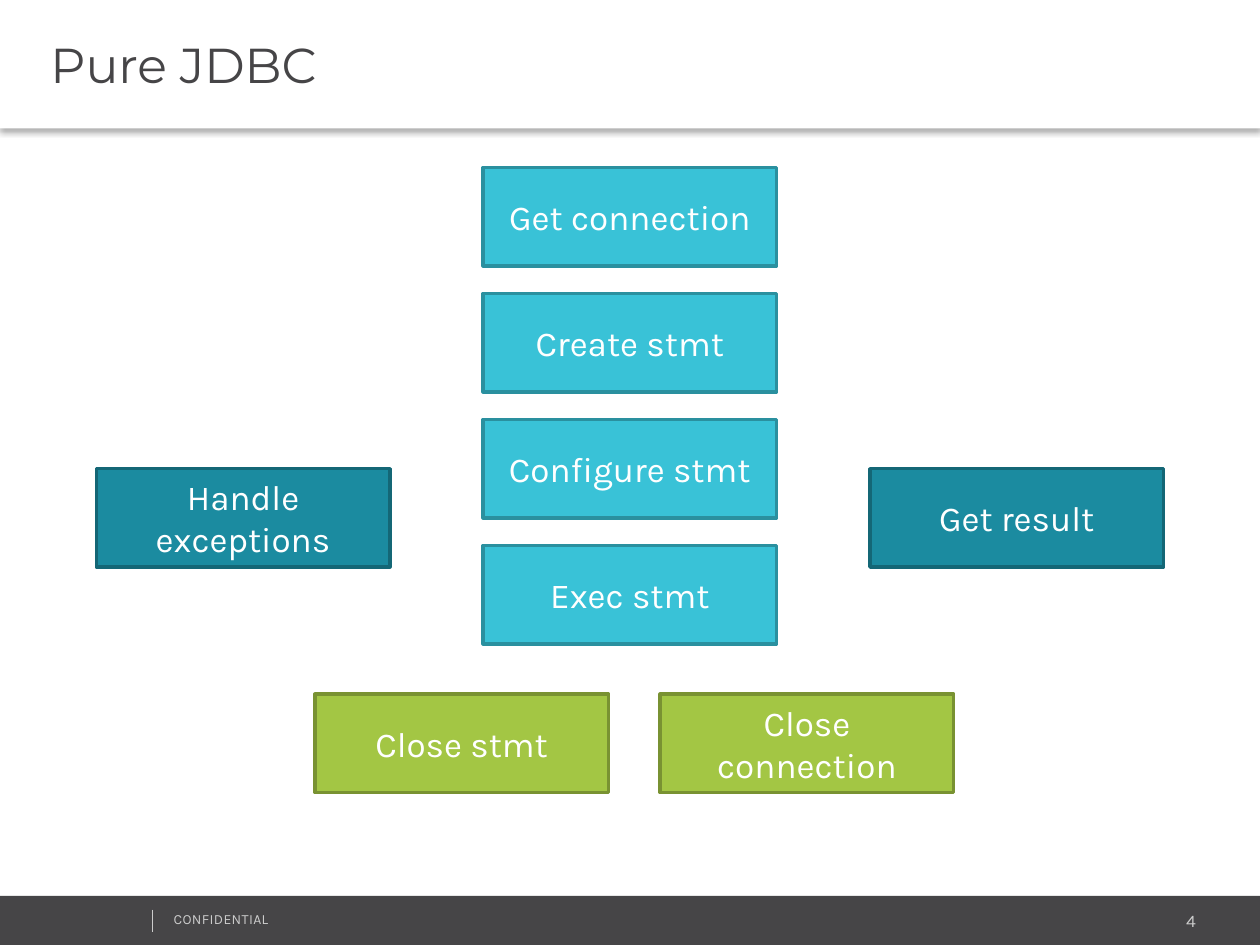
from lxml import etree
from pptx import Presentation
from pptx import util as u
from pptx.dml.color import RGBColor
from pptx.enum import shapes, text
from pptx.oxml import ns

WIDTH, HEIGHT = 10, 7.5
BOX_W, BOX_H = 2.33, 0.78
DARK, GREY, WHITE = "464547", "CCCCCC", "FFFFFF"
BLUE, GREEN, TEAL = ("39C2D7", "2A909F"), ("A3C644", "799232"), ("1B8BA0", "146776")


def colour(value):
    return RGBColor.from_string(value)


def place(shape, left, top, width, height):
    shape.left, shape.top = u.Inches(left), u.Inches(top)
    shape.width, shape.height = u.Inches(width), u.Inches(height)


def paint(shape, fill):
    shape.fill.solid()
    shape.fill.fore_color.rgb = colour(fill)


def write(shape, words, size, ink, align, face="Karla"):
    frame = shape.text_frame
    frame.word_wrap = True
    para = frame.paragraphs[0]
    para.text = words
    para.alignment = align
    para.font.name, para.font.size = face, u.Pt(size)
    para.font.color.rgb = colour(ink)
    return para


def add_block(page, box, fill):
    block = page.shapes.add_shape(shapes.MSO_SHAPE.RECTANGLE, *map(u.Inches, box))
    block.shadow.inherit = False
    paint(block, fill)
    block.line.fill.background()
    return block


def add_effects(shape, shadow=False):
    effects = etree.SubElement(shape._element.spPr, ns.qn("a:effectLst"))
    if shadow:
        outer = etree.SubElement(effects, ns.qn("a:outerShdw"), blurRad=str(u.Pt(3.1)),
                                 dist=str(u.Pt(2)), dir="5400000", algn="t", rotWithShape="0")
        ink = etree.SubElement(outer, ns.qn("a:srgbClr"), val="000000")
        etree.SubElement(ink, ns.qn("a:alpha"), val="30000")


def header(page, box, words):
    title = page.shapes.title
    place(title, *box)
    paint(title, WHITE)
    add_effects(title, shadow=True)
    write(title, words, 28, DARK, text.PP_ALIGN.LEFT, "Montserrat")
    frame = title.text_frame
    frame.auto_size = text.MSO_AUTO_SIZE.NONE
    frame.vertical_anchor = text.MSO_ANCHOR.MIDDLE
    frame.margin_left = u.Inches(0.4)


def step(page, left, top, words, colours):
    fill, edge = colours
    box = add_block(page, (left, top, BOX_W, BOX_H), fill)
    box.line.color.rgb = colour(edge)
    box.line.width = u.Pt(2)
    box.text_frame.vertical_anchor = text.MSO_ANCHOR.MIDDLE
    write(box, words, 20, WHITE, text.PP_ALIGN.CENTER)


def steps(page, top):
    # Main column, one step per inch
    middle = (WIDTH - BOX_W) / 2
    names = ("Get connection", "Create stmt", "Configure stmt", "Exec stmt")
    for row, name in enumerate(names):
        step(page, middle, top + row, name, BLUE)
    # Closing row
    for left, name in ((2.5, "Close stmt"), (5.24, "Close connection")):
        step(page, left, top + 4.18, name, GREEN)
    # Outer steps, mirrored about the centre
    reach = 3.07
    for left, name in ((middle + reach, "Get result"), (middle - reach, "Handle exceptions")):
        step(page, left, top + 2.39, name, TEAL)


def footer(page, box, number):
    left, top, width, height = box
    add_block(page, box, DARK)
    # Page number and label
    labels = (
        ((left + width - 2.04, top + 0.06, 1.63, 0.27), number, 10, text.PP_ALIGN.RIGHT),
        ((left + 1.28, top + 0.07, 2.53, 0.24), "CONFIDENTIAL", 8, text.PP_ALIGN.LEFT),
    )
    for area, words, size, align in labels:
        label = page.shapes.add_textbox(*map(u.Inches, area))
        para = write(label, words, size, GREY, align)
    para.runs[0].font._element.set("spc", "20")
    # Divider
    x = left + 1.21
    rule = page.shapes.add_connector(
        shapes.MSO_CONNECTOR.STRAIGHT,
        *map(u.Inches, (x, top + 0.11, x, top + 0.29)))
    rule.line.color.rgb = colour(GREY)
    rule.line.width = u.Pt(0.25)
    add_effects(rule)


def main():
    deck = Presentation()
    deck.slide_width, deck.slide_height = u.Inches(WIDTH), u.Inches(HEIGHT)
    page = deck.slides.add_slide(deck.slide_layouts[5])
    footer(page, (0, 7.11, WIDTH, 0.39), "4")
    header(page, (0, 0, WIDTH, 1.02), "Pure JDBC")
    steps(page, 1.33)
    deck.save("out.pptx")


if __name__ == "__main__":
    main()
